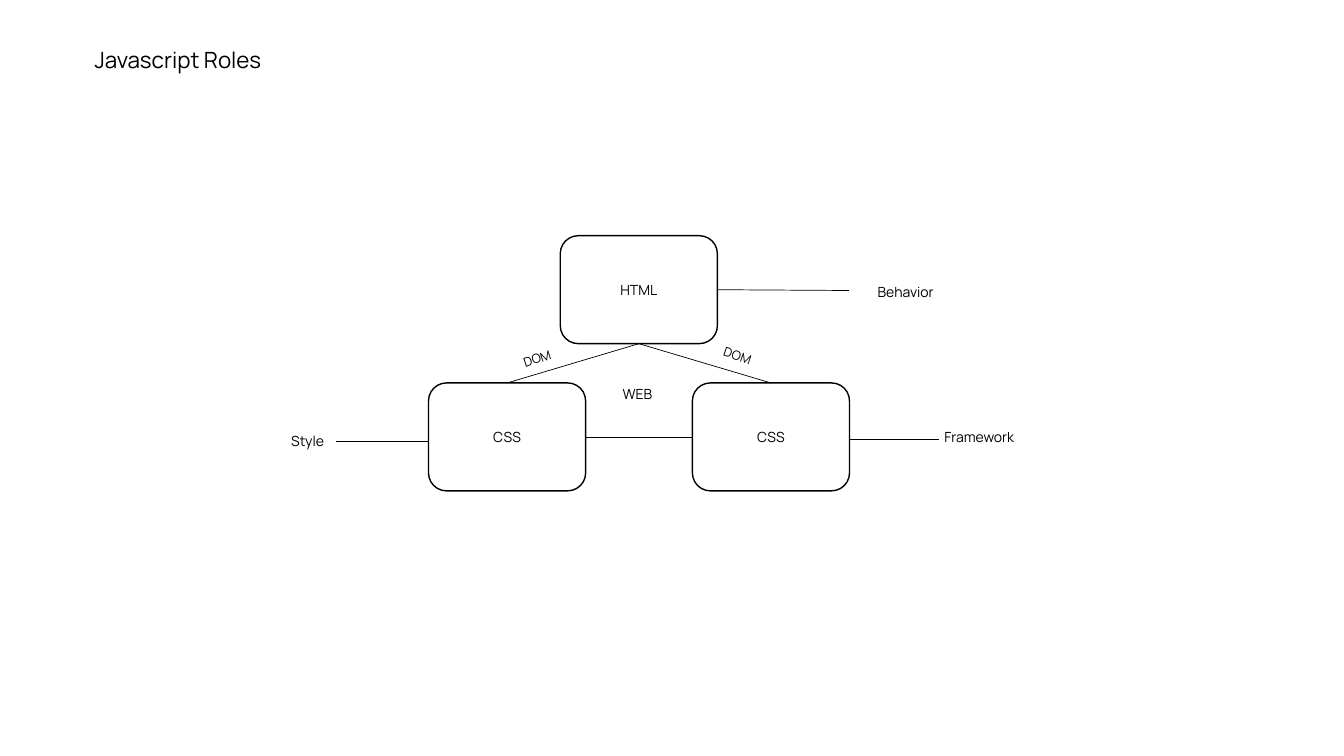
from pptx import Presentation
from pptx.dml.color import RGBColor
from pptx.enum.shapes import MSO_CONNECTOR, MSO_SHAPE
from pptx.enum.text import MSO_ANCHOR, MSO_AUTO_SIZE, PP_ALIGN
from pptx.util import Cm, Pt
from lxml.etree import SubElement
from pptx.oxml.ns import qn

COLORS = {"ink": "000000", "paper": "FFFFFF"}
BOX_W, BOX_H = 3.96, 2.72
LABEL_H = 0.69


def color(name):
    return RGBColor.from_string(COLORS[name])


class Diagram:
    font = "Manrope"

    def __init__(self, prs):
        self.s = prs.slides.add_slide(prs.slide_layouts[5])
        self.s.background.fill.solid()
        self.s.background.fill.fore_color.rgb = color("paper")

    def add_text(self, sp, text, size, align=PP_ALIGN.LEFT, anchor=MSO_ANCHOR.TOP):
        tf = sp.text_frame
        tf.vertical_anchor = anchor
        p = tf.paragraphs[0]
        p.alignment = align
        r = p.add_run()
        r.text = text
        r.font.name = self.font
        r.font.size = Pt(size)
        r.font.color.rgb = color("ink")
        return tf

    def title(self, text, x, y, w, h):
        sp = self.s.shapes.title
        sp.left, sp.top, sp.width, sp.height = Cm(x), Cm(y), Cm(w), Cm(h)
        tf = self.add_text(sp, text, 16)
        tf.word_wrap = False
        tf.auto_size = MSO_AUTO_SIZE.SHAPE_TO_FIT_TEXT

    def box(self, text, x, y):
        sp = self.s.shapes.add_shape(
            MSO_SHAPE.ROUNDED_RECTANGLE, Cm(x), Cm(y), Cm(BOX_W), Cm(BOX_H))
        sp.shadow.inherit = False
        sp.fill.solid()
        sp.fill.fore_color.rgb = color("paper")
        sp.line.color.rgb = color("ink")
        sp.line.width = Pt(1)
        self.add_text(sp, text, 10, PP_ALIGN.CENTER, MSO_ANCHOR.MIDDLE)
        return sp

    def label(self, text, x, y, w, h=LABEL_H, size=10, rotation=0):
        sp = self.s.shapes.add_textbox(Cm(x), Cm(y), Cm(w), Cm(h))
        sp.rotation = rotation
        tf = self.add_text(sp, text, size)
        tf.word_wrap = rotation != 0
        tf.auto_size = MSO_AUTO_SIZE.SHAPE_TO_FIT_TEXT

    def line(self, x1=0, y1=0, x2=0, y2=0, begin=None, end=None):
        c = self.s.shapes.add_connector(
            MSO_CONNECTOR.STRAIGHT, Cm(x1), Cm(y1), Cm(x2), Cm(y2))
        c.line.color.rgb = color("ink")
        c.line.width = Pt(0.5)
        SubElement(c._element.spPr, qn("a:effectLst"))
        if begin:
            c.begin_connect(*begin)
        if end:
            c.end_connect(*end)


def main():
    prs = Presentation()
    prs.slide_width, prs.slide_height = Cm(33.87), Cm(19.05)
    d = Diagram(prs)
    d.title("Javascript Roles", 2.13, 1.04, 5.16, 0.94)

    html = d.box("HTML", 14.12, 5.94)
    left_css, right_css = [d.box("CSS", x, 9.65) for x in (10.8, 17.45)]

    for css in (left_css, right_css):
        d.line(begin=(html, 2), end=(css, 0))
    d.line(begin=(right_css, 1), end=(left_css, 3))
    d.line(x2=21.39, y2=7.32, begin=(html, 3))
    d.line(8.48, 11.13, 10.8, 11.13)
    d.line(21.39, 11.07, 23.67, 11.07)

    for text, x, y, w in (
        ("WEB", 15.44, 9.58, 1.27),
        ("Behavior", 21.87, 7.01, 2.08),
        ("Style", 7.09, 10.77, 1.37),
        ("Framework", 23.55, 10.67, 2.49),
    ):
        d.label(text, x, y, w)
    for x, y, rotation in ((17.98, 8.66, 18.8), (12.93, 8.69, 341.9)):
        d.label("DOM", x, y, 1.35, 0.64, 9, rotation)

    prs.save("out.pptx")


if __name__ == "__main__":
    main()
